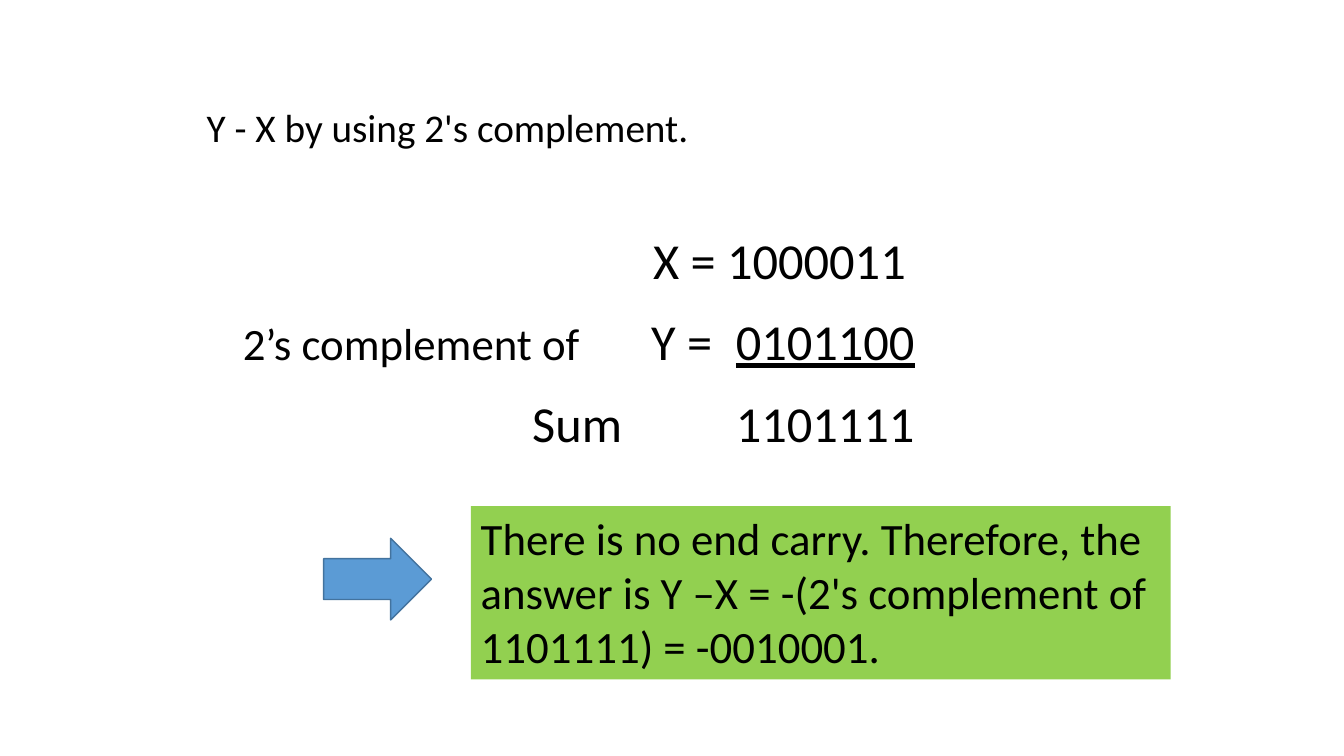
from pptx import Presentation, util as u
from pptx.dml.color import RGBColor
from pptx.enum import shapes, text
from lxml import etree

THEME = {
    "font": "Calibri", "ink": "000000", "answer": "92D050",
    "arrow": "5B9BD5", "arrow_edge": "43739E",
    "heading": 28, "label": 32, "sum": 36,
}
INSET = 0.1
OPERAND, DIGITS = 6.46, 7.3  # left edges of the aligned columns
FIRST_ROW, ROW_STEP = 2.22, 0.81


def write(frame, runs, wrap=True):
    """Fill the frame's first paragraph with (words, size, underline) runs."""
    layout = {"word_wrap": wrap, "auto_size": text.MSO_AUTO_SIZE.NONE,
              "vertical_anchor": text.MSO_ANCHOR.TOP}
    for name, value in layout.items():
        setattr(frame, name, value)
    line = frame.paragraphs[0]
    line.alignment = text.PP_ALIGN.LEFT
    for words, size, underline in runs:
        run = line.add_run()
        run.text = words
        formats = {"name": THEME["font"], "size": u.Pt(size), "underline": underline}
        for name, value in formats.items():
            setattr(run.font, name, value)
        run.font.color.rgb = RGBColor.from_string(THEME["ink"])
    return line


def inches(*lengths):
    return [u.Inches(length) for length in lengths]


deck = Presentation()
deck.slide_width, deck.slide_height = inches(13.33, 7.5)
slide = deck.slides.add_slide(deck.slide_layouts[5])

heading = slide.shapes.title
heading.left, heading.top, heading.width, heading.height = inches(1.95, 0.97, 5.12, 0.57)
write(heading.text_frame,
      [("Y - X by using 2's complement.", THEME["heading"], None)], wrap=False)

# Each row: left, width, runs, columns reached by its tabs
addition = [
    (6.38, 2.74, [("X = 1000011", THEME["sum"], None)], []),
    (2.31, 7.29, [("2’s complement of", THEME["label"], None),
                  ("\tY =\t", THEME["sum"], None),
                  ("0101100", THEME["sum"], True)], [OPERAND, DIGITS]),
    (5.18, 4.17, [("Sum\t1101111", THEME["sum"], None)], [DIGITS]),
]
for row, (left, width, runs, columns) in enumerate(addition):
    box = slide.shapes.add_textbox(
        *inches(left, FIRST_ROW + row * ROW_STEP, width, 0.71))
    properties = write(box.text_frame, runs)._p.get_or_add_pPr()
    if columns:
        namespace = etree.QName(properties).namespace
        stops = etree.SubElement(properties, f"{{{namespace}}}tabLst")
        for column in columns:
            position = u.Inches(column - left - INSET)
            etree.SubElement(stops, f"{{{namespace}}}tab", pos=str(position), algn="l")

answer = slide.shapes.add_shape(
    shapes.MSO_SHAPE.RECTANGLE, *inches(4.67, 5.02, 6.94, 1.72))
answer.line.fill.background()
write(answer.text_frame, [(
    "There is no end carry. Therefore, the answer is Y –X = "
    "-(2's complement of 1101111) = -0010001.", THEME["label"], None)])

pointer = slide.shapes.add_shape(
    shapes.MSO_SHAPE.RIGHT_ARROW, *inches(3.21, 5.34, 1.07, 0.81))
pointer.line.color.rgb = RGBColor.from_string(THEME["arrow_edge"])
pointer.line.width = u.Pt(1)

for part, colour in ((answer, "answer"), (pointer, "arrow")):
    part.shadow.inherit = False
    part.fill.solid()
    part.fill.fore_color.rgb = RGBColor.from_string(THEME[colour])

deck.save("out.pptx")
